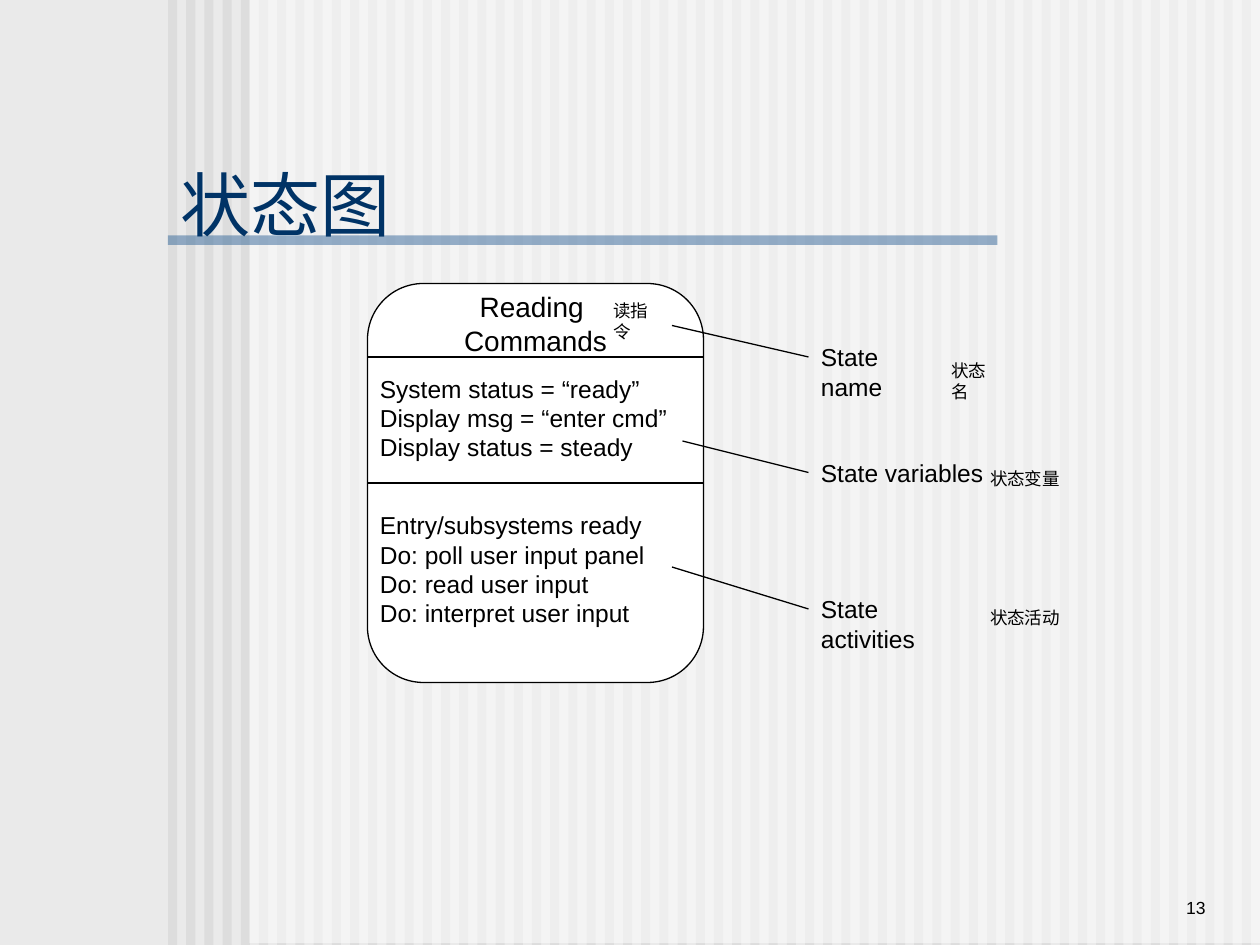
"""Build a slide that explains the parts of a state in a state diagram."""
import lxml.etree
import pptx
import pptx.dml.color
import pptx.enum.shapes
import pptx.enum.text
import pptx.oxml.ns
import pptx.util

Pt = pptx.util.Pt
RGB = pptx.dml.color.RGBColor.from_string
Align = pptx.enum.text.PP_ALIGN
Anchor = pptx.enum.text.MSO_ANCHOR
Fit = pptx.enum.text.MSO_AUTO_SIZE
Kind = pptx.enum.shapes.MSO_SHAPE
qn = pptx.oxml.ns.qn

theme = {
    "back": RGB("EAEAEA"), "stripe": RGB("DDDDDD"), "white": RGB("FFFFFF"),
    "bar": RGB("336699"), "title": RGB("003366"), "ink": RGB("000000"),
    "latin": "Arial", "han": "Noto Sans CJK SC",
    "head": Pt(40), "name": Pt(16), "body": Pt(14), "note": Pt(10), "line": Pt(0.75),
}

deck = pptx.Presentation()
deck.slide_width, deck.slide_height = Pt(720), Pt(540)
slide = deck.slides.add_slide(deck.slide_layouts[5])
slide.background.fill.solid()
slide.background.fill.fore_color.rgb = theme["back"]


def block(group, left, top, width, height, color, alpha=None):
    rect = group.shapes.add_shape(Kind.RECTANGLE, Pt(left), Pt(top), Pt(width), Pt(height))
    rect.shadow.inherit = False
    rect.fill.solid()
    rect.fill.fore_color.rgb = theme[color]
    rect.line.fill.background()
    if alpha:
        tint = next(rect.element.spPr.iter(qn("a:srgbClr")))
        lxml.etree.SubElement(tint, qn("a:alpha")).set("val", str(alpha * 1000))


def label(left, top, width, height, lines, size="body", font="latin",
          align=Align.LEFT, anchor=Anchor.TOP, wrap=True, fit=Fit.SHAPE_TO_FIT_TEXT):
    box = slide.shapes.add_textbox(Pt(left), Pt(top), Pt(width), Pt(height))
    frame = box.text_frame
    frame.word_wrap = wrap
    frame.auto_size = fit
    frame.vertical_anchor = anchor
    frame.text = "\n".join(lines)
    for para in frame.paragraphs:
        para.alignment = align
        para.font.name = theme[font]
        para.font.size = theme[size]
        para.font.color.rgb = theme["ink"]


group = slide.shapes.add_group_shape()
for i in range(60):
    block(group, 96 + 10.4 * i, 0, 5.2, 540, "stripe")
block(group, 142.5, 0, 577.5, 539, "white", 50)
block(group, 96, 134.5, 474, 5.5, "bar", 50)

title = slide.shapes.title
group.element.addnext(title.element)
title.left, title.top, title.width, title.height = Pt(96), Pt(90), Pt(342), Pt(54)
frame = title.text_frame
frame.text = "状态图"
frame.auto_size = Fit.NONE
frame.vertical_anchor = Anchor.BOTTOM
para = frame.paragraphs[0]
para.alignment = Align.LEFT
para.font.name = theme["latin"]
para.font.size = theme["head"]
para.font.color.rgb = theme["title"]

label(594, 492, 102, 36, ["13"], "note", align=Align.RIGHT, anchor=Anchor.BOTTOM, fit=Fit.NONE)

state = slide.shapes.add_shape(Kind.ROUNDED_RECTANGLE, Pt(210), Pt(162), Pt(192), Pt(228))
state.shadow.inherit = False
state.fill.solid()
state.fill.fore_color.rgb = theme["white"]
state.line.color.rgb = theme["ink"]
state.line.width = theme["line"]

for ends in (
    (210, 204, 402, 204), (210, 276, 402, 276),
    (462, 204, 384, 186), (462, 270, 390, 252), (462, 348, 384, 324),
):
    line = slide.shapes.add_connector(
        pptx.enum.shapes.MSO_CONNECTOR.STRAIGHT, *[Pt(n) for n in ends])
    line.line.color.rgb = theme["ink"]
    line.line.width = theme["line"]
    lxml.etree.SubElement(line.element.spPr, qn("a:effectLst"))

label(258, 162, 96, 46, ["Reading ", "Commands"], "name", align=Align.CENTER)
label(210, 210, 186, 57.6, [
    "System status = “ready”", "Display msg = “enter cmd”", "Display status = steady"])
label(210, 288, 186, 91.4, [
    "Entry/subsystems ready", "Do: poll user input panel",
    "Do: read user input", "Do: interpret user input"])

for top, width, text in (
    (192, 85.7, "State name"), (258, 107.3, "State variables"), (336, 104.4, "State activities"),
):
    label(462, top, width, 24.5, [text], wrap=False)

for left, top, width, text in (
    (536.4, 202.3, 44, "状态名"), (558.7, 264.2, 54, "状态变量"),
    (558.7, 343.4, 54, "状态活动"), (343.4, 167.8, 44, "读指令"),
):
    label(left, top, width, 19.4, [text], "note", "han", wrap=False)

deck.save("out.pptx")
